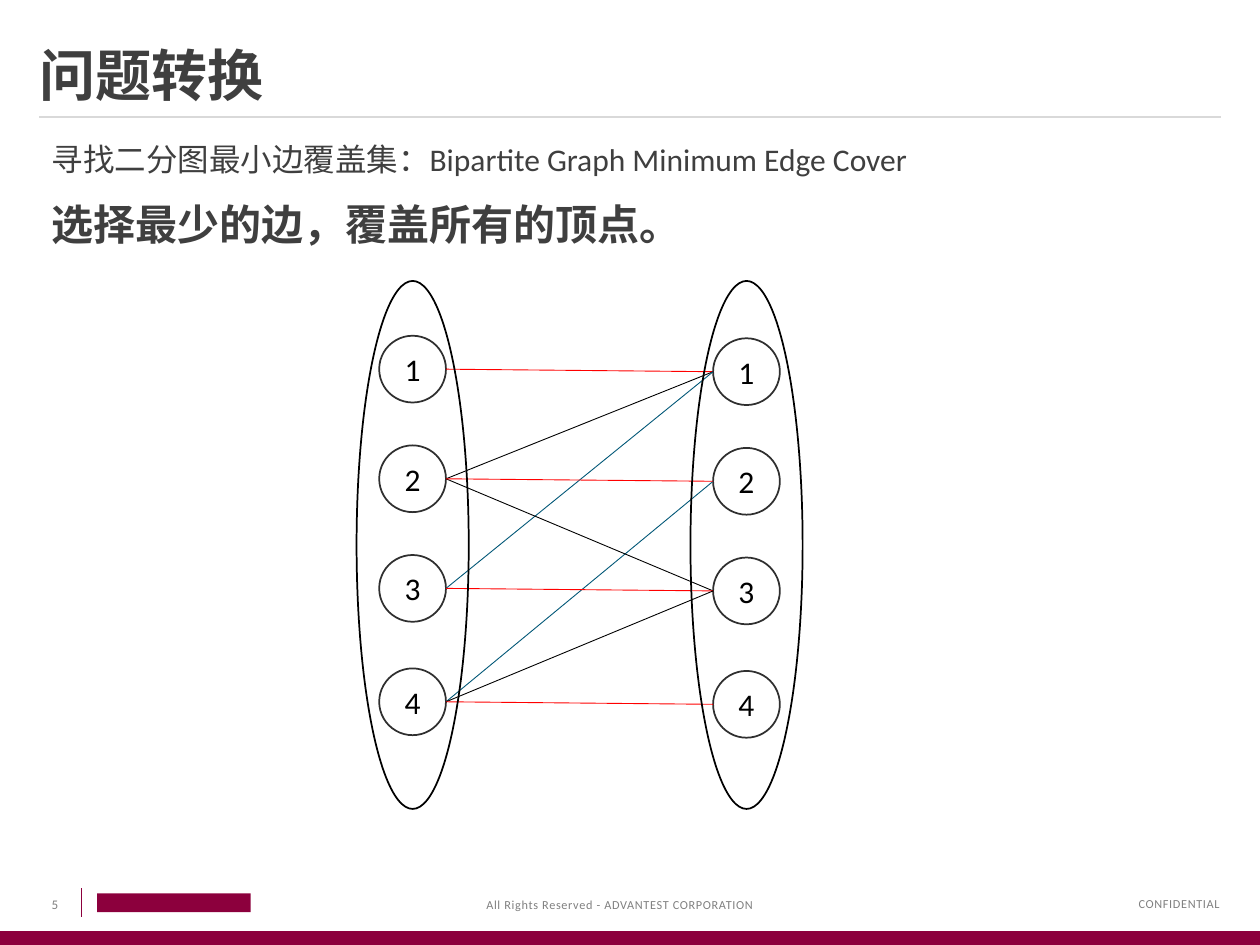
from dataclasses import dataclass

from lxml.etree import SubElement
from pptx import Presentation
from pptx.dml.color import RGBColor
from pptx.enum.shapes import MSO_CONNECTOR, MSO_SHAPE
from pptx.enum.text import MSO_ANCHOR, MSO_AUTO_SIZE, PP_ALIGN
from pptx.oxml.ns import qn
from pptx.util import Inches, Pt

# Content
TITLE = "问题转换"
STATEMENTS = [  # text, size role, bold, space before in points
    ("寻找二分图最小边覆盖集：Bipartite Graph Minimum Edge Cover", "text", False, 0),
    ("选择最少的边，覆盖所有的顶点。", "emphasis", True, 17.5),
]
VERTICES = ["1", "2", "3", "4"]
EDGES = [  # left vertex, right vertex, colour role
    (1, 1, "cover"), (2, 1, "plain"), (3, 1, "alternate"), (4, 2, "alternate"),
    (2, 3, "plain"), (3, 3, "cover"), (2, 2, "cover"), (4, 3, "plain"),
    (4, 4, "cover"),
]
FOOTERS = [  # text, box, alignment, size role, letter spacing
    ("5", (0.41, 7.11, 0.2, 0.13), PP_ALIGN.LEFT, "number", 0),
    ("CONFIDENTIAL", (8.02, 7.11, 1.66, 0.12), PP_ALIGN.RIGHT, "footer", 40),
    ("All Rights Reserved - ADVANTEST CORPORATION", (3.86, 7.12, 3.16, 0.12),
     PP_ALIGN.LEFT, "footer", 40),
]


@dataclass(frozen=True)
class Theme:
    font = "Calibri"
    colours = {"brand": "8C003D", "rule": "D9D9D9", "heading": "3F3F3F",
               "muted": "808080", "node": "2F2F2F", "plain": "000000",
               "cover": "FF0000", "alternate": "005777"}
    sizes = {"title": 32, "emphasis": 24, "text": 18, "number": 7.5, "footer": 7}

    def colour(self, role):
        return RGBColor.from_string(self.colours[role])


THEME = Theme()

# Geometry in inches
WIDTH, HEIGHT = 10, 7.5
MARGIN = 0.31
CONTENT_WIDTH = WIDTH - 2 * MARGIN
COLUMN_X = {"left": 3.275, "right": 5.925}
COLUMN_DROP = {"left": 0, "right": 0.02}
ROW_Y = [2.93, 3.8, 4.67, 5.57]
NODE = 0.53
SET_TOP, SET_WIDTH, SET_HEIGHT = 2.23, 0.89, 4.19

deck = Presentation()
deck.slide_width, deck.slide_height = Inches(WIDTH), Inches(HEIGHT)
slide = deck.slides.add_slide(deck.slide_layouts[1])


def place(shape, left, top, width, height):
    shape.left, shape.top = Inches(left), Inches(top)
    shape.width, shape.height = Inches(width), Inches(height)


def style(paragraph, size, colour, bold=False, align=PP_ALIGN.LEFT):
    paragraph.alignment = align
    font = paragraph.font
    font.name, font.size, font.bold = THEME.font, Pt(THEME.sizes[size]), bold
    font.color.rgb = THEME.colour(colour)


def clear_insets(frame):
    frame.margin_left = frame.margin_right = frame.margin_top = frame.margin_bottom = 0


def add_line(start, end, colour, weight):
    line = slide.shapes.add_connector(
        MSO_CONNECTOR.STRAIGHT, *(Inches(v) for v in (*start, *end)))
    line.line.color.rgb = THEME.colour(colour)
    line.line.width = Pt(weight)
    SubElement(line._element.spPr, qn("a:effectLst"))


def add_block(left, top, width, height):
    block = slide.shapes.add_shape(
        MSO_SHAPE.RECTANGLE, *(Inches(v) for v in (left, top, width, height)))
    block.shadow.inherit = False
    block.fill.solid()
    block.fill.fore_color.rgb = THEME.colour("brand")
    block.line.fill.background()


def add_ellipse(centre_x, centre_y, width, height, outline):
    box = (centre_x - width / 2, centre_y - height / 2, width, height)
    ellipse = slide.shapes.add_shape(MSO_SHAPE.OVAL, *(Inches(v) for v in box))
    ellipse.shadow.inherit = False
    ellipse.fill.background()
    ellipse.line.color.rgb = THEME.colour(outline)
    ellipse.line.width = Pt(1)
    return ellipse


def node_centre(side, number):
    return COLUMN_X[side], ROW_Y[number - 1] + COLUMN_DROP[side]


# Page frame: bottom bar, title rule, plain brand block and footers
add_block(0, 7.39, WIDTH, 0.11)
add_line((MARGIN, 0.93), (WIDTH - MARGIN, 0.93), "rule", 1)
add_block(0.77, 7.09, 1.22, 0.15)
add_line((0.65, 7.05), (0.65, 7.28), "brand", 0.5)
for text, box, align, size, spacing in FOOTERS:
    frame = slide.shapes.add_textbox(*(Inches(v) for v in box)).text_frame
    clear_insets(frame)
    frame.word_wrap = True
    frame.vertical_anchor = MSO_ANCHOR.MIDDLE
    frame.text = text
    style(frame.paragraphs[0], size, "muted", align=align)
    if spacing:
        frame.paragraphs[0].runs[0].font._element.set("spc", str(spacing))

# Title
title = slide.shapes.title
place(title, MARGIN, 0.16, CONTENT_WIDTH, 0.7)
title.text = TITLE
clear_insets(title.text_frame)
title.text_frame.auto_size = MSO_AUTO_SIZE.NONE
title.text_frame.vertical_anchor = MSO_ANCHOR.BOTTOM
title.text_frame.paragraphs[0].line_spacing = 0.85
style(title.text_frame.paragraphs[0], "title", "heading", bold=True)

# Problem statement
body = slide.placeholders[1]
place(body, MARGIN, 1.12, CONTENT_WIDTH, 5.25)
body.text_frame.auto_size = MSO_AUTO_SIZE.NONE
body.text_frame.text = "\n".join(text for text, *_ in STATEMENTS)
for paragraph, (_, size, bold, gap) in zip(body.text_frame.paragraphs, STATEMENTS):
    paragraph.line_spacing = 0.8
    paragraph.space_before = Pt(gap)
    properties = paragraph._p.get_or_add_pPr()
    properties.set("marL", "0")
    properties.set("indent", "0")
    SubElement(properties, qn("a:buNone"))
    style(paragraph, size, "heading", bold)

# Bipartite graph: vertices, edges, then the two enclosing sets
for side in COLUMN_X:
    for number, label in enumerate(VERTICES, 1):
        frame = add_ellipse(*node_centre(side, number), NODE, NODE, "node").text_frame
        frame.vertical_anchor = MSO_ANCHOR.MIDDLE
        frame.text = label
        style(frame.paragraphs[0], "text", "plain", align=PP_ALIGN.CENTER)

for left, right, colour in EDGES:
    left_x, left_y = node_centre("left", left)
    right_x, right_y = node_centre("right", right)
    add_line((left_x + NODE / 2, left_y), (right_x - NODE / 2, right_y), colour, 0.5)

for x in COLUMN_X.values():
    add_ellipse(x, SET_TOP + SET_HEIGHT / 2, SET_WIDTH, SET_HEIGHT, "plain")

deck.save("out.pptx")
